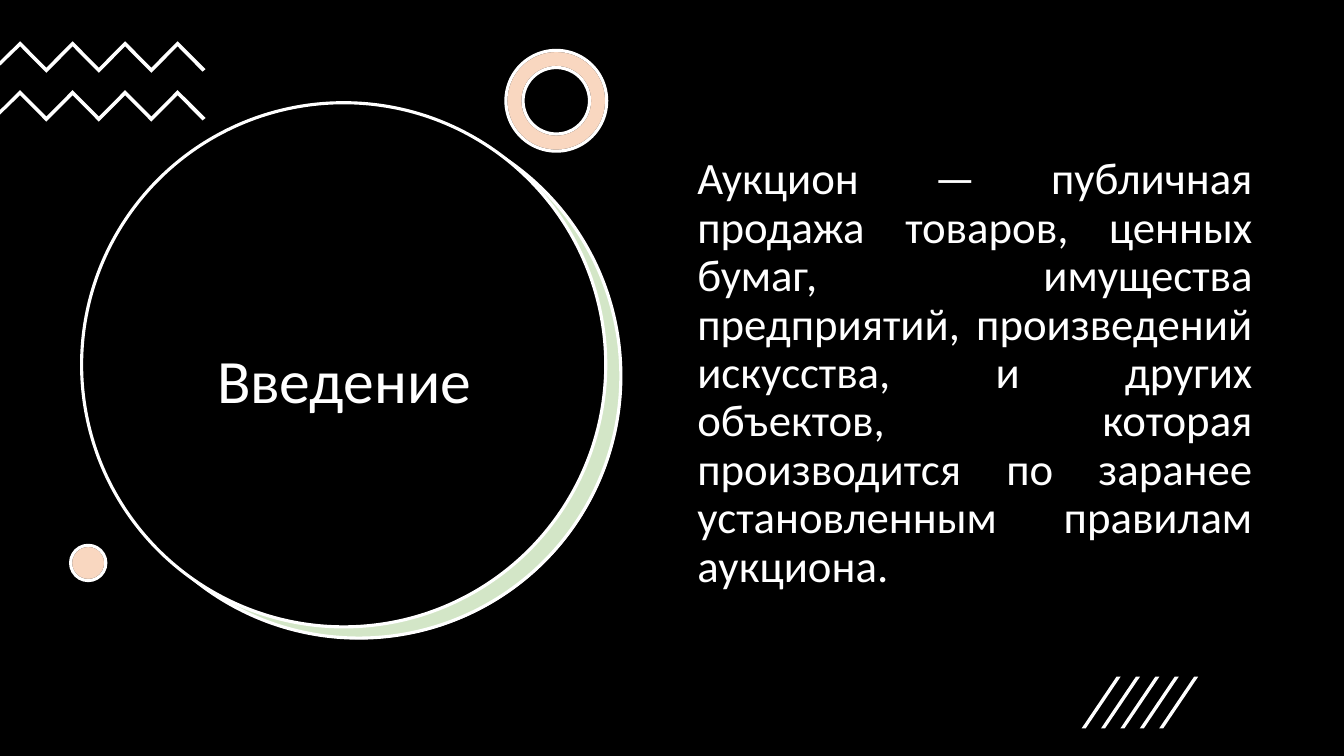
"""Build the "Введение" slide about auctions."""
from lxml import etree
from pptx import Presentation
from pptx.dml.color import RGBColor
from pptx.enum.shapes import MSO_SHAPE
from pptx.enum.text import MSO_ANCHOR, PP_ALIGN
from pptx.oxml.ns import qn
from pptx.util import Pt

RECT, OVAL, DONUT = MSO_SHAPE.RECTANGLE, MSO_SHAPE.OVAL, MSO_SHAPE.DONUT
TOP, MIDDLE = MSO_ANCHOR.TOP, MSO_ANCHOR.MIDDLE
CENTER, JUSTIFY = PP_ALIGN.CENTER, PP_ALIGN.JUSTIFY

WIDTH, HEIGHT = 960, 540
WHITE, BLACK, GREEN, ORANGE = "FFFFFF", "000000", "70AD47", "ED7D31"
TINT = 30
RING_RATIO = 0.17

TITLE = ("Введение", (87.1, 147.6, 317.5, 253.4), 44, CENTER, MIDDLE)
BODY = (
    "Аукцион — публичная продажа товаров, ценных бумаг, имущества предприятий, "
    "произведений искусства, и других объектов, которая производится по заранее "
    "установленным правилам аукциона.",
    (491, 108, 411.1, 342.7), 32, JUSTIFY, TOP,
)

DISC = 374.4
BACKDROP = [
    (RECT, (0, 0, WIDTH, HEIGHT), BLACK, None, 100),
    (OVAL, (69.8, 82.1, DISC, DISC), WHITE, None, 100),
    (OVAL, (69.1, 81.4, DISC, DISC), GREEN, WHITE, TINT),
    (OVAL, (58.3, 73.4, DISC, DISC), BLACK, WHITE, 100),
]
ACCENTS = [
    (DONUT, (361.4, 36, 72, 72)),
    (OVAL, (50.4, 389.5, 25.2, 25.2)),
]

ZIGZAG_TOPS = (29.5, 64.4)
ZIGZAG_START, ZIGZAG_STEP, ZIGZAG_DROP, ZIGZAG_BAND = 14.4, 18.75, 18.9, 3.6
SLASH_COUNT, SLASH_LEFT, SLASH_TOP, SLASH_PITCH = 5, 772.6, 483.3, 13.85
SLASH_HEIGHT, SLASH_LEAN, SLASH_BAND = 37, 25, 2.9


def color(value):
    return RGBColor.from_string(value)


def add_preset(shapes, kind, place, fill, line, opacity):
    shape = shapes.add_shape(kind, *map(Pt, place))
    shape.shadow.inherit = False
    shape.fill.solid()
    shape.fill.fore_color.rgb = color(fill)
    if opacity < 100:
        solid = shape.fill._xPr.find(qn("a:solidFill"))
        etree.SubElement(solid[0], qn("a:alpha"), val=str(opacity * 1000))
    if line:
        shape.line.color.rgb = color(line)
        shape.line.width = Pt(2.25)
    else:
        shape.line.fill.background()
    if kind == DONUT:
        shape.adjustments[0] = RING_RATIO


def add_outline(shapes, points):
    corners = [(Pt(x), Pt(y)) for x, y in points]
    builder = shapes.build_freeform(*corners[0])
    builder.add_line_segments(corners[1:], close=True)
    shape = builder.convert_to_shape()
    shape.shadow.inherit = False
    shape.fill.solid()
    shape.fill.fore_color.rgb = color(WHITE)
    shape.line.fill.background()


def add_text(shapes, text, place, size, align, anchor):
    box = shapes.add_textbox(*map(Pt, place))
    frame = box.text_frame
    frame.word_wrap = True
    frame.vertical_anchor = anchor
    para = frame.paragraphs[0]
    para.alignment = align
    para.line_spacing = 0.9
    span = para.add_run()
    span.text = text
    span.font.name = "Calibri"
    span.font.size = Pt(size)
    span.font.color.rgb = color(WHITE)


def zigzag_points(top):
    upper = [(ZIGZAG_START + i * ZIGZAG_STEP, top + i % 2 * ZIGZAG_DROP) for i in range(7)]
    lower = [(x, y + ZIGZAG_BAND) for x, y in reversed(upper)]
    tail = [(146.9, top + 19.9), (144.7, top + 21.7)]
    edge = [(0, top + 17.5), (0, top + 14.2)]
    return upper + tail + lower + edge


def slash_points(index):
    left = SLASH_LEFT + index * SLASH_PITCH
    bottom = SLASH_TOP + SLASH_HEIGHT
    right = left + SLASH_LEAN
    return [(left + SLASH_BAND, bottom), (left, bottom),
            (right, SLASH_TOP), (right + SLASH_BAND, SLASH_TOP)]


def main():
    deck = Presentation()
    deck.slide_width, deck.slide_height = Pt(WIDTH), Pt(HEIGHT)
    page = deck.slides.add_slide(deck.slide_layouts[6])
    shapes = page.shapes

    for item in BACKDROP:
        add_preset(shapes, *item)
    add_text(shapes, *TITLE)

    zigzags = shapes.add_group_shape().shapes
    for top in ZIGZAG_TOPS:
        add_outline(zigzags, zigzag_points(top))

    for kind, place in ACCENTS:
        add_preset(shapes, kind, place, WHITE, BLACK, 100)
        add_preset(shapes, kind, place, ORANGE, WHITE, TINT)
    add_text(shapes, *BODY)

    slashes = shapes.add_group_shape().shapes
    for index in range(SLASH_COUNT):
        add_outline(slashes, slash_points(index))

    deck.save("out.pptx")


if __name__ == "__main__":
    main()
